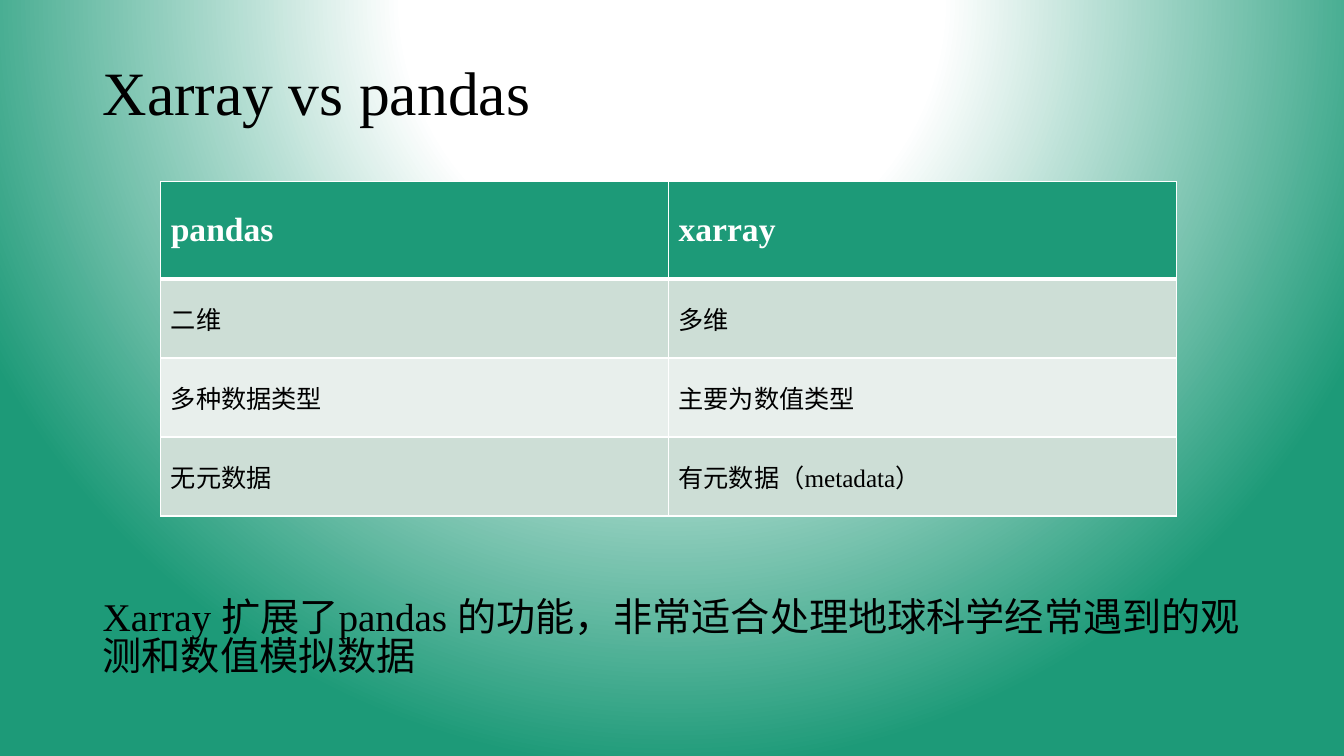
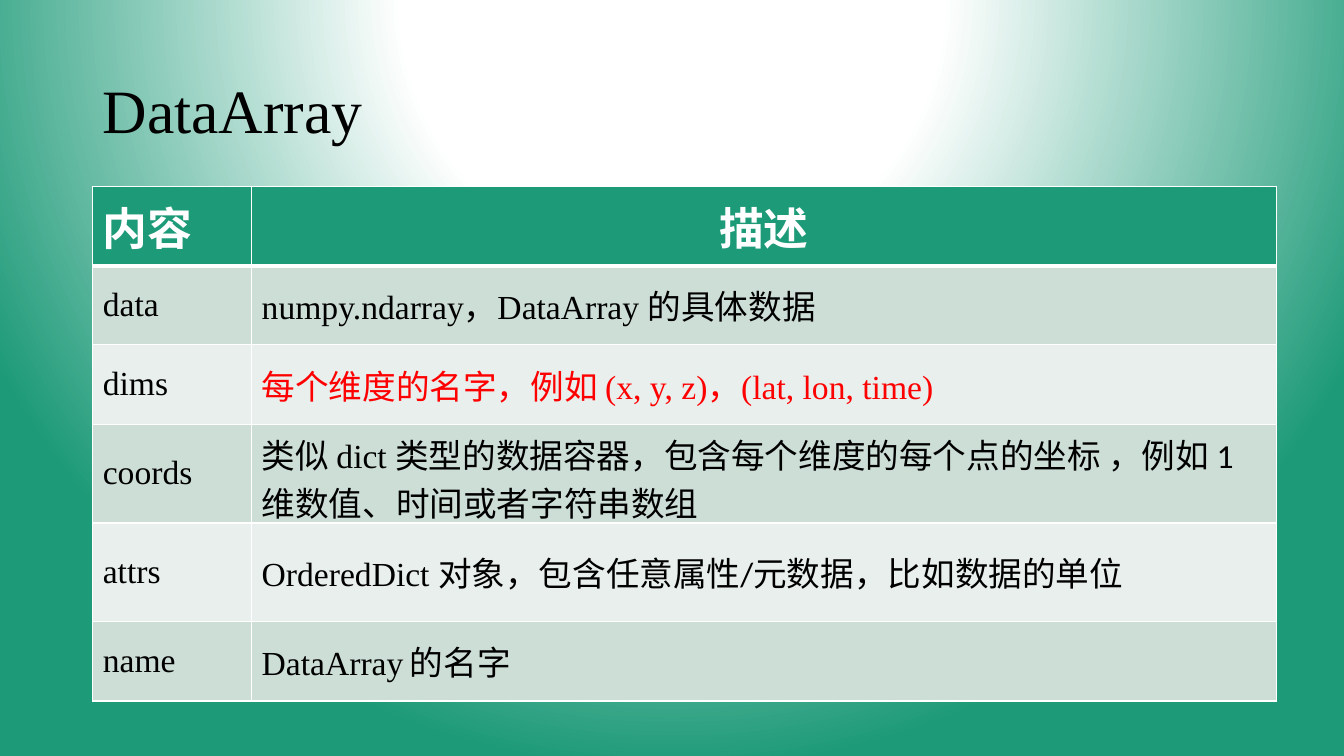
from dataclasses import dataclass

import pptx
from pptx import oxml
from pptx import util as u
from pptx.dml import color as colors
from pptx.enum import lang, text
from pptx.oxml import ns


@dataclass(frozen=True)
class Theme:
    green: str = "1D9A78"
    white: str = "FFFFFF"
    black: str = "000000"
    red: str = "FF0000"
    bands: tuple[str, str] = ("CDDED6", "E8EFEC")
    serif: str = "Times New Roman"
    sans: str = "Calibri"
    title: float = 44
    head_large: float = 32
    body: float = 28
    medium: float = 24
    small: float = 18
    border: float = 1
    head_border: float = 3


@dataclass(frozen=True)
class Area:
    left: float
    top: float
    width: float
    height: float


@dataclass(frozen=True)
class Span:
    text: str
    font: str
    color: str | None = None
    size: float | None = None


@dataclass(frozen=True)
class Grid:
    left: float
    top: float
    columns: tuple[float, ...]
    rows: tuple[float, ...]
    head_size: float
    text_size: float
    cells: list[list[list[Span]]]
    centered_heads: tuple[int, ...] = ()


THEME = Theme()
MARGIN = 66.24
CONTENT_WIDTH = 828


def serif(words: str, color: str | None = None, size: float | None = None) -> Span:
    return Span(words, THEME.serif, color, size)


def sans(words: str, color: str | None = None) -> Span:
    return Span(words, THEME.sans, color)


def write(para, words: str, *, font: str, size: float,
          color: str = THEME.black, bold: bool = False) -> None:
    span = para.add_run()
    span.text = words
    span.font.name = font
    span.font.size = u.Pt(size)
    span.font.bold = bold
    span.font.color.rgb = colors.RGBColor.from_string(color)
    span.font.language_id = lang.MSO_LANGUAGE_ID.SIMPLIFIED_CHINESE


def write_spans(para, spans: list[Span], *, size: float,
                color: str = THEME.black, bold: bool = False) -> None:
    for span in spans:
        write(para, span.text, font=span.font, size=span.size or size,
              color=span.color or color, bold=bold)


def add_text(page, area: Area, spans: list[Span], *, size: float, spacing: float,
             before: float = 0, anchor=text.MSO_ANCHOR.TOP) -> None:
    box = page.shapes.add_textbox(u.Pt(area.left), u.Pt(area.top),
                                  u.Pt(area.width), u.Pt(area.height))
    frame = box.text_frame
    frame.word_wrap = True
    frame.vertical_anchor = anchor
    para = frame.paragraphs[0]
    para.line_spacing = spacing
    para.space_before = u.Pt(before)
    write_spans(para, spans, size=size)


def set_background(page) -> None:
    stops = "".join(
        f'<a:gs pos="{position * 1000}"><a:srgbClr val="{color}"/></a:gs>'
        for position, color in ((0, THEME.white), (35, THEME.white), (100, THEME.green)))
    background = oxml.parse_xml(
        f'<p:bg {ns.nsdecls("p", "a")}><p:bgPr><a:gradFill rotWithShape="1">'
        f'<a:gsLst>{stops}</a:gsLst><a:path path="circle">'
        '<a:fillToRect l="50000" t="-80000" r="50000" b="180000"/></a:path>'
        '</a:gradFill><a:effectLst/></p:bgPr></p:bg>')
    page.element.cSld.insert(0, background)


def set_borders(cell, top: float, bottom: float) -> None:
    properties = cell._tc.get_or_add_tcPr()
    widths = {"L": THEME.border, "R": THEME.border, "T": top, "B": bottom}
    for index, (side, width) in enumerate(widths.items()):
        properties.insert(index, oxml.parse_xml(
            f'<a:ln{side} {ns.nsdecls("a")} w="{u.Pt(width)}"><a:solidFill>'
            f'<a:srgbClr val="{THEME.white}"/></a:solidFill></a:ln{side}>'))


def add_grid(page, grid: Grid) -> None:
    table = page.shapes.add_table(
        len(grid.rows), len(grid.columns), u.Pt(grid.left), u.Pt(grid.top),
        u.Pt(sum(grid.columns)), u.Pt(sum(grid.rows))).table
    for column, width in zip(table.columns, grid.columns):
        column.width = u.Pt(width)
    for row, height in zip(table.rows, grid.rows):
        row.height = u.Pt(height)
    for row_index, row in enumerate(grid.cells):
        is_head = row_index == 0
        fill = THEME.green if is_head else THEME.bands[(row_index - 1) % 2]
        for column_index, spans in enumerate(row):
            cell = table.cell(row_index, column_index)
            cell.fill.solid()
            cell.fill.fore_color.rgb = colors.RGBColor.from_string(fill)
            cell.vertical_anchor = text.MSO_ANCHOR.MIDDLE
            set_borders(cell,
                        top=THEME.head_border if row_index == 1 else THEME.border,
                        bottom=THEME.head_border if is_head else THEME.border)
            para = cell.text_frame.paragraphs[0]
            if is_head and column_index in grid.centered_heads:
                para.alignment = text.PP_ALIGN.CENTER
            write_spans(para, spans, bold=is_head,
                        size=grid.head_size if is_head else grid.text_size,
                        color=THEME.white if is_head else THEME.black)


def add_page(deck, title: str, title_height: float):
    page = deck.slides.add_slide(deck.slide_layouts[6])
    set_background(page)
    add_text(page, Area(MARGIN, 28.8, CONTENT_WIDTH, title_height), [serif(title)],
             size=THEME.title, spacing=0.9, anchor=text.MSO_ANCHOR.MIDDLE)
    return page


def build_comparison(deck) -> None:
    page = add_page(deck, "Xarray vs pandas", 78.5)
    add_text(page, Area(MARGIN, 425.5, CONTENT_WIDTH, 85.7), [
        serif("Xarray 扩展了pandas 的功能，"),
        sans("非常适合处理地球科学经常遇到的观测和数值模拟数据"),
    ], size=THEME.body, spacing=0.83, before=2)
    add_grid(page, Grid(
        left=114.8, top=129.6, columns=(362.7,) * 2, rows=(69.8,) + (56.4,) * 3,
        head_size=THEME.medium, text_size=THEME.small,
        cells=[
            [[serif("pandas")], [serif("xarray")]],
            [[sans("二维")], [sans("多维")]],
            [[sans("多种数据类型")], [sans("主要为数值类型")]],
            [[sans("无元数据")],
             [sans("有元数据（"), serif("metadata"), sans("）")]],
        ]))


def build_data_array(deck) -> None:
    page = add_page(deck, "DataArray", 104.4)
    add_grid(page, Grid(
        left=MARGIN, top=133.2, columns=(113.5, 732),
        rows=(56.6,) * 3 + (70.6,) * 2 + (56.6,),
        head_size=THEME.head_large, text_size=THEME.medium, centered_heads=(1,),
        cells=[
            [[sans("内容")], [sans("描述")]],
            [[serif("data")],
             [serif("numpy.ndarray，DataArray "), sans("的具体数据")]],
            [[serif("dims")],
             [sans("每个维度的名字，例如 ", THEME.red),
              serif("(x, y, z)，(lat, lon, time)", THEME.red)]],
            [[serif("coords")],
             [sans("类似 "), serif("dict "),
              sans("类型的数据容器，包含每个维度的每个点的坐标 ，"
                   "例如 1维数值、时间或者字符串数组")]],
            [[serif("attrs")],
             [serif("OrderedDict "),
              sans("对象，包含任意属性/元数据，比如数据的单位")]],
            [[serif("name")],
             [serif("DataArray"), serif(" ", size=THEME.small), sans("的名字")]],
        ]))


def main() -> None:
    deck = pptx.Presentation()
    deck.slide_width = u.Pt(960)
    deck.slide_height = u.Pt(540)
    build_comparison(deck)
    build_data_array(deck)
    deck.save("out.pptx")


if __name__ == "__main__":
    main()
